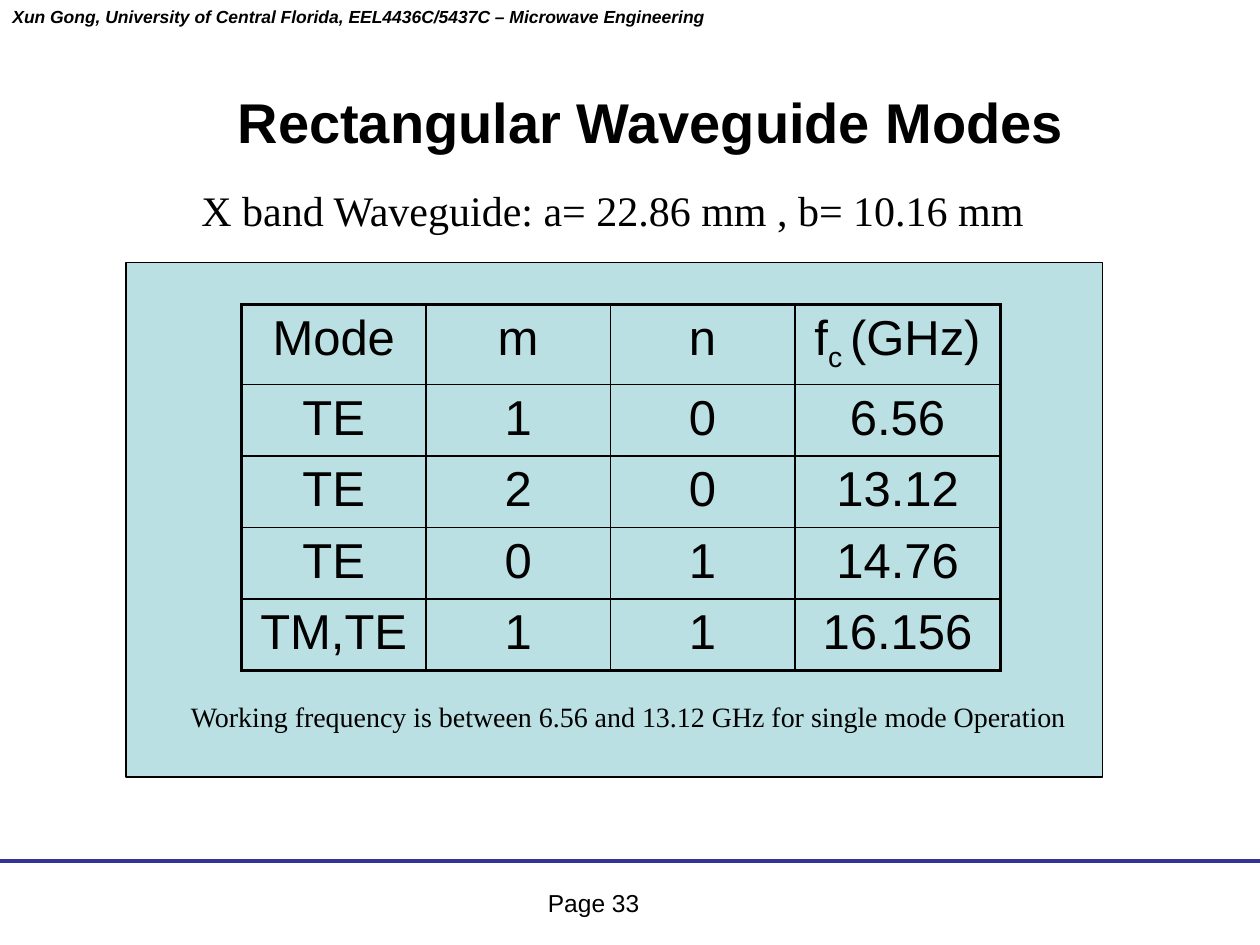
from lxml import etree
from pptx import Presentation
from pptx.dml.color import RGBColor
from pptx.enum import shapes, text
from pptx.oxml.ns import qn
from pptx.util import Pt

HUES = {"ink": "000000", "panel": "BBE0E3", "rule": "333399"}
SANS, SERIF = "Arial", "Times New Roman"
MID, LEFT = text.PP_ALIGN.CENTER, text.PP_ALIGN.LEFT

NOTES = [
    ("Xun Gong, University of Central Florida, EEL4436C/5437C – Microwave Engineering",
     (0, 0, 480, 19.4), LEFT, {"name": SANS, "size": Pt(10), "bold": True, "italic": True}),
    ("Page 33", (306, 504, 90, 24.2), LEFT, {"name": SANS, "size": Pt(14)}),
    ("Rectangular Waveguide Modes", (48, 42, 648, 54), MID,
     {"name": SANS, "size": Pt(32), "bold": True}),
    ("X band Waveguide: a= 22.86 mm , b= 10.16 mm", (108, 102, 512, 36.4), LEFT,
     {"name": SERIF, "size": Pt(24)}),
    ("Working frequency is between 6.56 and 13.12 GHz for single mode Operation",
     (102, 396, 519, 26.6), LEFT, {"name": SERIF, "size": Pt(16)}),
]
PANEL = (72, 150, 558, 294)
RULE = 492
MODES = [
    ("Mode", "m", "n", ("f", "c ", "(GHz)")),
    ("TE", "1", "0", "6.56"),
    ("TE", "2", "0", "13.12"),
    ("TE", "0", "1", "14.76"),
    ("TM,TE", "1", "1", "16.156"),
]
SPOT = (138, 174)
COLS = [105.4, 105.4, 105.4, 117.4]
ROWS = [45.7] + [40.9] * 4
CELL = {"name": SANS, "size": Pt(28)}
THIN, THICK = 1, 2.25


def hue(key):
    return RGBColor.from_string(HUES[key])


def pts(box):
    return [Pt(v) for v in box]


def write(para, words, side, form):
    para.alignment = side
    parts = (words,) if isinstance(words, str) else words
    for i, part in enumerate(parts):
        run = para.add_run()
        run.text = part
        run.font.color.rgb = hue("ink")
        for key, val in form.items():
            setattr(run.font, key, val)
        if i == 1:
            run._r.get_or_add_rPr().set("baseline", "-25000")


def edge(cell, sides):
    props = cell._tc.get_or_add_tcPr()
    for i, (tag, wide) in enumerate(sides.items()):
        line = etree.Element(qn("a:" + tag), w=str(Pt(wide)))
        fill = etree.SubElement(line, qn("a:solidFill"))
        etree.SubElement(fill, qn("a:srgbClr"), val=HUES["ink"])
        props.insert(i, line)


def label(slide, words, box, side, form):
    frame = slide.shapes.add_textbox(*pts(box)).text_frame
    frame.word_wrap = True
    if side == MID:
        frame.vertical_anchor = text.MSO_ANCHOR.MIDDLE
    else:
        frame.auto_size = text.MSO_AUTO_SIZE.SHAPE_TO_FIT_TEXT
    write(frame.paragraphs[0], words, side, form)


def grid(slide):
    size = (sum(COLS), sum(ROWS))
    table = slide.shapes.add_table(len(ROWS), len(COLS), *pts(SPOT + size)).table
    table.first_row = table.horz_banding = False
    for col, wide in zip(table.columns, COLS):
        col.width = Pt(wide)
    for r, (row, high) in enumerate(zip(MODES, ROWS)):
        table.rows[r].height = Pt(high)
        for c, words in enumerate(row):
            cell = table.cell(r, c)
            cell.fill.background()
            write(cell.text_frame.paragraphs[0], words, MID, CELL)
            outer = {"lnL": c == 0, "lnR": c == len(COLS) - 1,
                     "lnT": r == 0, "lnB": r == len(ROWS) - 1}
            edge(cell, {tag: THICK if out else THIN for tag, out in outer.items()})


def main():
    deck = Presentation()
    deck.slide_width, deck.slide_height = Pt(720), Pt(540)
    slide = deck.slides.add_slide(deck.slide_layouts[6])

    rule = slide.shapes.add_connector(
        shapes.MSO_CONNECTOR.STRAIGHT, *pts((0, RULE, 720, RULE)))
    rule.line.color.rgb = hue("rule")
    rule.line.width = Pt(2.25)
    etree.SubElement(rule._element.spPr, qn("a:effectLst"))

    for note in NOTES[:3]:
        label(slide, *note)

    panel = slide.shapes.add_shape(shapes.MSO_SHAPE.RECTANGLE, *pts(PANEL))
    panel.shadow.inherit = False
    panel.fill.solid()
    panel.fill.fore_color.rgb = hue("panel")
    panel.line.color.rgb = hue("ink")
    panel.line.width = Pt(0.75)

    grid(slide)
    for note in NOTES[3:]:
        label(slide, *note)
    deck.save("out.pptx")


if __name__ == "__main__":
    main()
